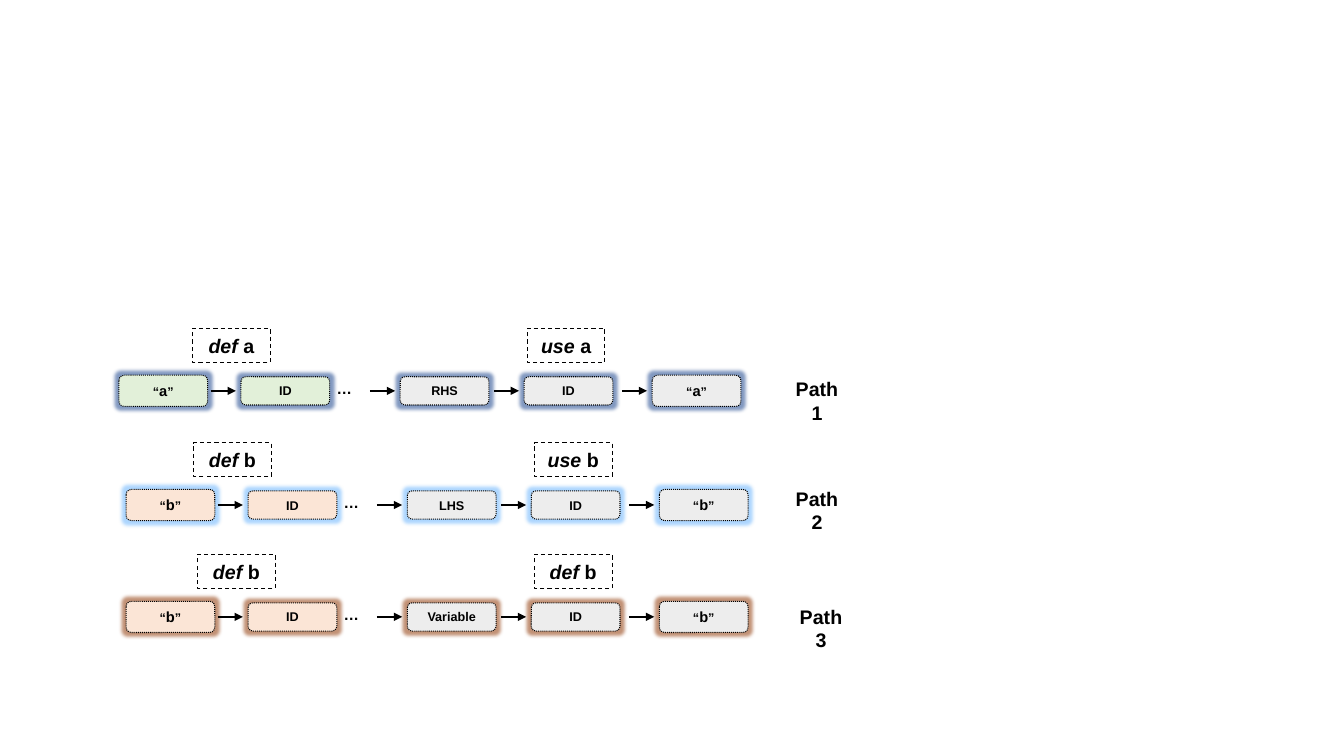
from dataclasses import dataclass

from lxml.etree import SubElement
from pptx import Presentation
from pptx.dml.color import RGBColor
from pptx.enum.dml import MSO_LINE
from pptx.enum.shapes import MSO_CONNECTOR, MSO_SHAPE
from pptx.enum.text import MSO_ANCHOR, PP_ALIGN
from pptx.oxml.ns import qn
from pptx.util import Inches, Pt

BLACK = RGBColor(0x00, 0x00, 0x00)
GREY = RGBColor(0xED, 0xED, 0xED)
GREEN = RGBColor(0xE2, 0xF0, 0xD9)
PEACH = RGBColor(0xFB, 0xE5, 0xD6)
NAVY_GLOW = RGBColor(0x2F, 0x55, 0x97)
SKY_GLOW = RGBColor(0x33, 0x99, 0xFF)
BROWN_GLOW = RGBColor(0x9A, 0x4A, 0x1C)

SLIDE_WIDTH = Inches(13.33)
SLIDE_HEIGHT = Inches(7.5)
NODE_OFFSETS = (0, 9.08, 20.93, 30.15, 39.68)
NODE_WIDTH = 6.6
NODE_HEIGHT = 3.73
TOKEN_HEIGHT = 4.13
ARROW_LENGTH = 1.88
ARROW_GAP = 0.38
ELLIPSIS_OFFSET = 14.25
TAG_SIZE = (5.78, 4.53)
TAG_LIFT = 6
SECOND_TAG_OFFSET = 30.38


@dataclass
class Path:
    """One chain of syntax nodes, placed in percent of the slide."""
    name: str
    variable: str
    middle_node: str
    tags: tuple
    left: float
    centre: float
    tag_left: float
    name_left: float
    name_centre: float
    fill: RGBColor
    glow: RGBColor
    glow_alpha: int


PATHS = (
    Path("Path 1", "a", "RHS", ("def ", "use "), 8.85, 51.7, 14.33, 57.9, 51.47,
         GREEN, NAVY_GLOW, 60),
    Path("Path 2", "b", "LHS", ("def ", "use "), 9.38, 66.8, 14.4, 57.9, 66,
         PEACH, SKY_GLOW, 40),
    Path("Path 3", "b", "Variable", ("def ", "def "), 9.38, 81.6, 14.7, 58.2, 81.6,
         PEACH, BROWN_GLOW, 60),
)


def across(share):
    """Turn a percentage of the slide's width into a length."""
    return int(SLIDE_WIDTH * share / 100)


def down(share):
    """Turn a percentage of the slide's height into a length."""
    return int(SLIDE_HEIGHT * share / 100)


def frame(left, centre, width, height):
    """Return the box that is centred vertically on the given height."""
    return across(left), down(centre - height / 2), across(width), down(height)


def write_text(shape, *pieces, size=9, anchor=MSO_ANCHOR.MIDDLE):
    """Write centred bold runs, each given as text and its format overrides."""
    text_frame = shape.text_frame
    text_frame.word_wrap = True
    text_frame.vertical_anchor = anchor
    paragraph = text_frame.paragraphs[0]
    paragraph.alignment = PP_ALIGN.CENTER
    for text, overrides in pieces:
        run = paragraph.add_run()
        run.text = text
        run.font.name = "Arial"
        run.font.bold = True
        run.font.italic = overrides.get("italic", False)
        run.font.size = Pt(overrides.get("size", size))
        run.font.color.rgb = BLACK


def add_box(slide, kind, box, fill=None, dash=None):
    """Add a preset shape without shadow, with optional fill and outline."""
    shape = slide.shapes.add_shape(kind, *box)
    shape.shadow.inherit = False
    if fill is None:
        shape.fill.background()
    else:
        shape.fill.solid()
        shape.fill.fore_color.rgb = fill
    if dash is None:
        shape.line.fill.background()
    else:
        shape.line.color.rgb = BLACK
        shape.line.width = Pt(0.75)
        shape.line.dash_style = dash
    return shape


def add_glow(shape, colour, alpha):
    """Surround a shape with a soft coloured glow."""
    effects = shape._element.spPr.find(qn("a:effectLst"))
    glow = SubElement(effects, qn("a:glow"), rad=str(Pt(5)))
    tint = SubElement(glow, qn("a:srgbClr"), val=str(colour))
    SubElement(tint, qn("a:alpha"), val=str(alpha * 1000))


def add_node(slide, path, left, pieces, height, fill):
    """Add one glowing node of a path."""
    box = frame(left, path.centre, NODE_WIDTH, height)
    node = add_box(slide, MSO_SHAPE.ROUNDED_RECTANGLE, box, fill, MSO_LINE.ROUND_DOT)
    add_glow(node, path.glow, path.glow_alpha)
    write_text(node, *pieces)


def add_arrow(slide, end, height):
    """Add a short arrow pointing right and ending at the given place."""
    arrow = slide.shapes.add_connector(
        MSO_CONNECTOR.STRAIGHT, across(end - ARROW_LENGTH), down(height),
        across(end), down(height))
    arrow.line.color.rgb = BLACK
    arrow.line.width = Pt(1.5)
    SubElement(arrow.line._get_or_add_ln(), qn("a:tailEnd"), type="triangle")
    SubElement(arrow._element.spPr, qn("a:effectLst"))


def add_tag(slide, path, left, word):
    """Add the dashed label that says how the variable is used."""
    box = frame(left, path.centre - TAG_LIFT, *TAG_SIZE)
    tag = add_box(slide, MSO_SHAPE.RECTANGLE, box, dash=MSO_LINE.DASH)
    write_text(tag, (word, {"italic": True}), (path.variable, {}), size=14)


def add_path(slide, path):
    """Add the nodes, arrows, tags and name of one path."""
    token = (("“", {}), (path.variable, {"size": 10.5}), ("”", {}))
    identifier = (("ID", {}),)
    nodes = (
        (token, TOKEN_HEIGHT, path.fill),
        (identifier, NODE_HEIGHT, path.fill),
        (((path.middle_node, {}),), NODE_HEIGHT, GREY),
        (identifier, NODE_HEIGHT, GREY),
        (token, TOKEN_HEIGHT, GREY),
    )
    for offset, (pieces, height, fill) in zip(NODE_OFFSETS, nodes):
        add_node(slide, path, path.left + offset, pieces, height, fill)
    for offset in NODE_OFFSETS[1:]:
        add_arrow(slide, path.left + offset - ARROW_GAP, path.centre)

    ellipsis_box = frame(path.left + ELLIPSIS_OFFSET, path.centre - 0.3, 5.03, 4.27)
    ellipsis = add_box(slide, MSO_SHAPE.ROUNDED_RECTANGLE, ellipsis_box)
    write_text(ellipsis, ("…", {}), size=11)

    tag_lefts = (path.tag_left, path.left + SECOND_TAG_OFFSET)
    for left, word in zip(tag_lefts, path.tags):
        add_tag(slide, path, left, word)

    name = slide.shapes.add_textbox(*frame(path.name_left, path.name_centre, *TAG_SIZE))
    write_text(name, (path.name, {}), size=14, anchor=MSO_ANCHOR.TOP)


def main():
    """Build the slide of definition and use paths."""
    presentation = Presentation()
    presentation.slide_width = SLIDE_WIDTH
    presentation.slide_height = SLIDE_HEIGHT
    slide = presentation.slides.add_slide(presentation.slide_layouts[6])
    for path in PATHS:
        add_path(slide, path)
    presentation.save("out.pptx")


main()
